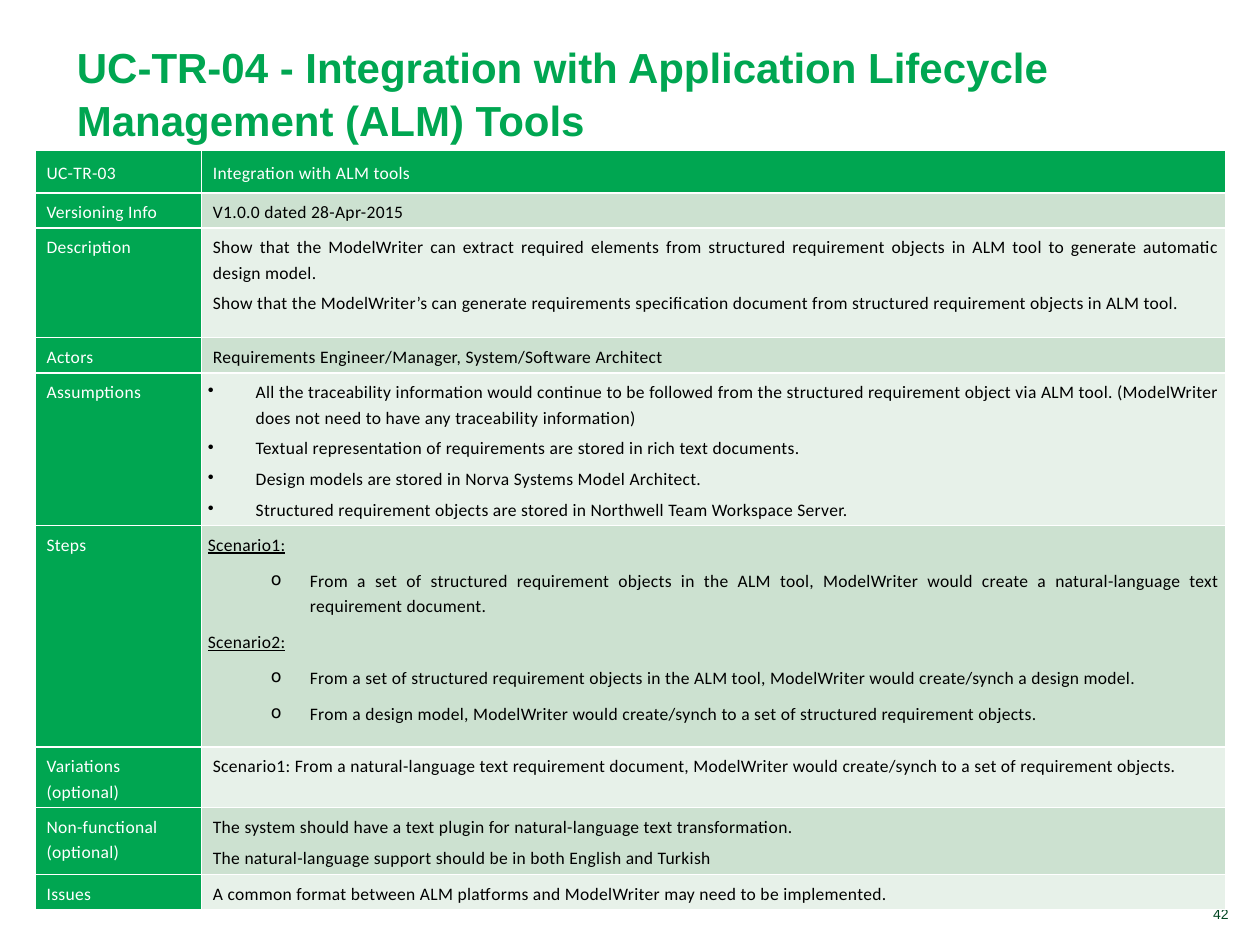
from lxml import etree
from pptx import Presentation
from pptx import util as u
from pptx.dml.color import RGBColor
from pptx.enum import text
from pptx.oxml import ns

GREEN = RGBColor(0x00, 0xA6, 0x51)
DARK_GREEN = RGBColor(0x00, 0x46, 0x21)
PALE = RGBColor(0xE7, 0xF1, 0xE9)
SAGE = RGBColor(0xCC, 0xE1, 0xD0)
WHITE = RGBColor(0xFF, 0xFF, 0xFF)
BLACK = RGBColor(0x00, 0x00, 0x00)

PLAIN, BULLET, SCENARIO, STEP = "plain", "bullet", "scenario", "step"
STYLES = {
    PLAIN: (0.04, 0, None, 3),
    BULLET: (0.38, -0.38, "•", 3),
    SCENARIO: (0, 0, None, 6),
    STEP: (0.81, -0.31, "o", 6),
}

USE_CASE = [
    (0.33, "UC-TR-03", [(PLAIN, "Integration with ALM tools")]),
    (0.28, "Versioning Info", [(PLAIN, "V1.0.0 dated 28-Apr-2015")]),
    (0.87, "Description", [
        (PLAIN, "Show that the ModelWriter can extract required elements from structured "
                "requirement objects in ALM tool to generate automatic design model."),
        (PLAIN, "Show that the ModelWriter’s can generate requirements specification document "
                "from structured requirement objects in ALM tool."),
    ]),
    (0.28, "Actors", [(PLAIN, "Requirements Engineer/Manager, System/Software Architect")]),
    (1.21, "Assumptions", [
        (BULLET, "All the traceability information would continue to be followed from the "
                 "structured requirement object via ALM tool. (ModelWriter does not need to "
                 "have any traceability information)"),
        (BULLET, "Textual representation of requirements are stored in rich text documents."),
        (BULLET, "Design models are stored in Norva Systems Model Architect."),
        (BULLET, "Structured requirement objects are stored in Northwell Team Workspace Server."),
    ]),
    (1.76, "Steps", [
        (SCENARIO, "Scenario1:"),
        (STEP, "From a set of structured requirement objects in the ALM tool, ModelWriter would "
               "create a natural-language text requirement document."),
        (SCENARIO, "Scenario2:"),
        (STEP, "From a set of structured requirement objects in the ALM tool, ModelWriter would "
               "create/synch a design model."),
        (STEP, "From a design model, ModelWriter would create/synch to a set of structured "
               "requirement objects."),
    ]),
    (0.48, "Variations (optional)", [
        (PLAIN, "Scenario1: From a natural-language text requirement document, ModelWriter would "
                "create/synch to a set of requirement objects."),
    ]),
    (0.53, "Non-functional (optional)", [
        (PLAIN, "The system should have a text plugin for natural-language text transformation."),
        (PLAIN, "The natural-language support should be in both English and Turkish"),
    ]),
    (0.28, "Issues", [
        (PLAIN, "A common format between ALM platforms and ModelWriter may need to be implemented."),
    ]),
]


def fill_cell(cell, entries, background, ink, header):
    cell.margin_left = cell.margin_right = u.Inches(0.05)
    cell.margin_top = cell.margin_bottom = u.Inches(0.07 if header else 0.04)
    cell.vertical_anchor = text.MSO_ANCHOR.MIDDLE if header else text.MSO_ANCHOR.TOP
    borders = cell._tc.get_or_add_tcPr()
    for side in ("a:lnL", "a:lnR", "a:lnT", "a:lnB"):
        line = etree.SubElement(borders, ns.qn(side), w=str(u.Pt(1)))
        paint = etree.SubElement(line, ns.qn("a:solidFill"))
        etree.SubElement(paint, ns.qn("a:srgbClr"), val=str(WHITE))
    cell.fill.solid()
    cell.fill.fore_color.rgb = background

    frame = cell.text_frame
    for index, (kind, wording) in enumerate(entries):
        left, hanging, mark, gap = STYLES[kind]
        entry = frame.add_paragraph() if index else frame.paragraphs[0]
        entry.text = wording
        entry.level = 1 if kind == STEP else 0
        layout = entry._p.get_or_add_pPr()
        layout.set("marL", str(u.Inches(left)))
        layout.set("indent", str(u.Inches(hanging)))
        if mark:
            etree.SubElement(layout, ns.qn("a:buChar"), char=mark)
        entry.alignment = text.PP_ALIGN.JUSTIFY
        entry.line_spacing = 1.2
        if index:
            entry.space_before = u.Pt(gap)
        entry.font.name = "Calibri"
        entry.font.size = u.Pt(10)
        entry.font.bold = False
        entry.font.color.rgb = ink
        if kind == SCENARIO:
            entry.font.underline = True
        layout.find(ns.qn("a:defRPr")).set("spc", "20")


deck = Presentation()
deck.slide_width, deck.slide_height = u.Inches(10), u.Inches(7.5)
slide = deck.slides.add_slide(deck.slide_layouts[5])

heading = slide.shapes.title
heading.left, heading.top = u.Inches(0.51), u.Inches(0.29)
heading.width, heading.height = u.Inches(8.5), u.Inches(0.91)
heading.text_frame.text = "UC-TR-04 - Integration with Application Lifecycle Management (ALM) Tools"
heading.text_frame.auto_size = text.MSO_AUTO_SIZE.NONE
heading.text_frame.vertical_anchor = text.MSO_ANCHOR.BOTTOM
headline = heading.text_frame.paragraphs[0]
headline.alignment = text.PP_ALIGN.LEFT
headline.line_spacing = 1.05
headline.font.name = "Arial"
headline.font.size = u.Pt(24)
headline.font.bold = True
headline.font.color.rgb = GREEN

page = slide.shapes.add_textbox(u.Inches(8.54), u.Inches(7.14), u.Inches(1.31), u.Inches(0.23))
page.text_frame.word_wrap = True
page.text_frame.vertical_anchor = text.MSO_ANCHOR.BOTTOM
page_number = page.text_frame.paragraphs[0]
page_number.text = "42"
page_number.alignment = text.PP_ALIGN.RIGHT
page_number.font.name = "Arial"
page_number.font.size = u.Pt(8)
page_number.font.color.rgb = DARK_GREEN

total_height = sum(height for height, label, entries in USE_CASE)
use_case = slide.shapes.add_table(
    len(USE_CASE), 2, u.Inches(0.28), u.Inches(1.19), u.Inches(9.45), u.Inches(total_height)
).table
use_case.columns[0].width = u.Inches(1.32)
use_case.columns[1].width = u.Inches(8.13)
for row, (height, label, entries) in enumerate(USE_CASE):
    header = row == 0
    use_case.rows[row].height = u.Inches(height)
    fill_cell(use_case.cell(row, 0), [(PLAIN, label)], GREEN, WHITE, header)
    band = GREEN if header else SAGE if row % 2 else PALE
    fill_cell(use_case.cell(row, 1), entries, band, WHITE if header else BLACK, header)

deck.save("out.pptx")
